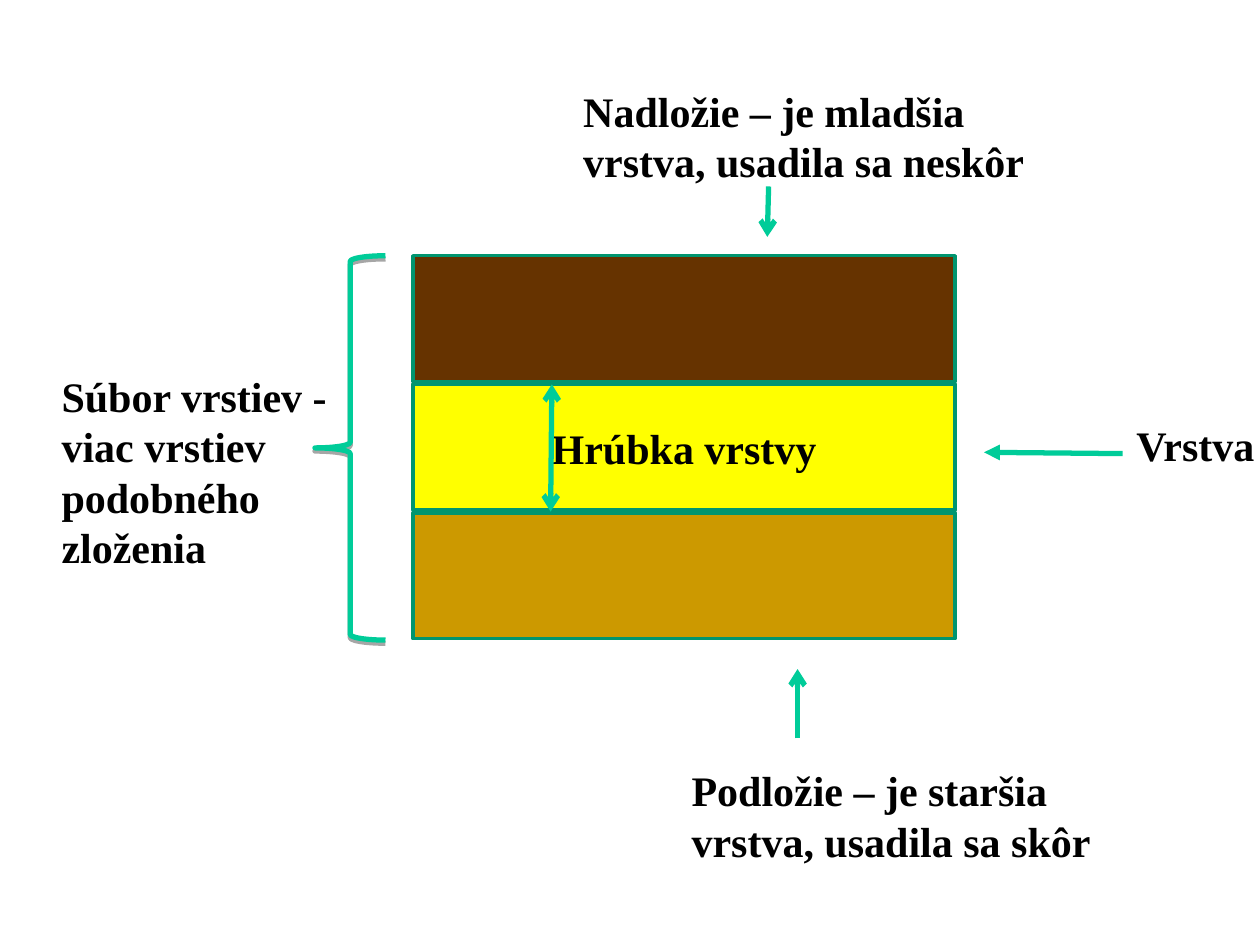
from dataclasses import dataclass
from typing import Optional

import pptx
import pptx.dml.color
import pptx.enum.shapes
import pptx.enum.text
import pptx.oxml
import pptx.oxml.ns
import pptx.util
from pptx.util import Inches

RGBColor = pptx.dml.color.RGBColor
BLACK = RGBColor(0x00, 0x00, 0x00)
BROWN = RGBColor(0x66, 0x33, 0x00)
YELLOW = RGBColor(0xFF, 0xFF, 0x00)
OCHRE = RGBColor(0xCC, 0x99, 0x00)
DARK_GREEN = RGBColor(0x00, 0x95, 0x6F)
GREEN = RGBColor(0x00, 0xCC, 0x99)

FONT_NAME = "Times New Roman"
LAYER_LEFT, LAYER_TOP = 3.28, 2.03
LAYER_WIDTH, LAYER_HEIGHT, LAYER_STEP = 4.3, 1.0, 1.02


@dataclass
class Layer:
    color: RGBColor
    text: str = ""


@dataclass
class Label:
    left: float
    top: float
    width: float
    height: float
    paragraphs: list[str]
    wrap: bool = True


@dataclass
class Arrow:
    start: tuple[float, float]
    end: tuple[float, float]
    tail: str = "arrow"
    head: Optional[str] = None


LAYERS = [Layer(BROWN), Layer(YELLOW, "Hrúbka vrstvy"), Layer(OCHRE)]

LABELS = [
    Label(4.53, 0.63, 3.98, 0.9, ["Nadložie – je mladšia vrstva, usadila sa neskôr"]),
    Label(8.92, 3.28, 1.16, 0.5, ["Vrstva"], wrap=False),
    Label(5.39, 6.02, 3.52, 0.9, ["Podložie – je staršia vrstva, usadila sa skôr"]),
    Label(0.39, 2.89, 2.42, 1.7, ["Súbor vrstiev -", "viac vrstiev podobného zloženia"]),
]

ARROWS = [
    Arrow((8.91, 3.6), (7.81, 3.59), tail="triangle"),
    Arrow((6.1, 1.48), (6.09, 1.88)),
    Arrow((6.33, 5.86), (6.33, 5.31)),
    Arrow((4.38, 3.05), (4.37, 4.06), head="arrow"),
]


def add_element(parent, tag: str, **attributes: str):
    element = pptx.oxml.parse_xml(f"<{tag} {pptx.oxml.ns.nsdecls('a')}/>")
    for name, value in attributes.items():
        element.set(name, value)
    parent.append(element)
    return element


def set_line(shape, color: RGBColor, width: float) -> None:
    shape.line.color.rgb = color
    shape.line.width = pptx.util.Pt(width)


def add_text(paragraph, text: str) -> None:
    run = paragraph.add_run()
    run.text = text
    run.font.name = FONT_NAME
    run.font.size = pptx.util.Pt(24)
    run.font.bold = True
    run.font.color.rgb = BLACK


def draw_layer(slide, layer: Layer, index: int) -> None:
    shape = slide.shapes.add_shape(
        pptx.enum.shapes.MSO_SHAPE.RECTANGLE,
        Inches(LAYER_LEFT), Inches(LAYER_TOP + index * LAYER_STEP),
        Inches(LAYER_WIDTH), Inches(LAYER_HEIGHT))
    shape.shadow.inherit = False
    shape.fill.solid()
    shape.fill.fore_color.rgb = layer.color
    set_line(shape, DARK_GREEN, 2)
    if layer.text:
        shape.text_frame.vertical_anchor = pptx.enum.text.MSO_ANCHOR.MIDDLE
        paragraph = shape.text_frame.paragraphs[0]
        paragraph.alignment = pptx.enum.text.PP_ALIGN.CENTER
        add_text(paragraph, layer.text)


def draw_label(slide, label: Label) -> None:
    text_box = slide.shapes.add_textbox(
        Inches(label.left), Inches(label.top), Inches(label.width), Inches(label.height))
    frame = text_box.text_frame
    frame.word_wrap = label.wrap
    frame.auto_size = pptx.enum.text.MSO_AUTO_SIZE.SHAPE_TO_FIT_TEXT
    for index, text in enumerate(label.paragraphs):
        add_text(frame.add_paragraph() if index else frame.paragraphs[0], text)


def draw_arrow(slide, arrow: Arrow) -> None:
    connector = slide.shapes.add_connector(
        pptx.enum.shapes.MSO_CONNECTOR.STRAIGHT,
        *(Inches(value) for value in arrow.start + arrow.end))
    set_line(connector, GREEN, 3)
    properties = connector.element.spPr
    line = properties.find(pptx.oxml.ns.qn("a:ln"))
    if arrow.head:
        add_element(line, "a:headEnd", type=arrow.head)
    add_element(line, "a:tailEnd", type=arrow.tail)
    add_element(properties, "a:effectLst")


def draw_brace(slide) -> None:
    brace = slide.shapes.add_shape(
        pptx.enum.shapes.MSO_SHAPE.LEFT_BRACE,
        Inches(2.5), Inches(LAYER_TOP), Inches(0.56), Inches(3.05))
    brace.adjustments[0] = 0.08
    brace.fill.background()
    set_line(brace, GREEN, 3)
    # Hard shadow straight below the brace
    brace.shadow.inherit = False
    effects = brace.element.spPr.find(pptx.oxml.ns.qn("a:effectLst"))
    shadow = add_element(effects, "a:outerShdw", blurRad="0",
                         dist=str(pptx.util.Pt(1.8)), dir="5400000", rotWithShape="0")
    shadow_color = add_element(shadow, "a:srgbClr", val=str(BLACK))
    add_element(shadow_color, "a:alpha", val="35000")


def main() -> None:
    presentation = pptx.Presentation()
    presentation.slide_width = Inches(10)
    presentation.slide_height = Inches(7.5)
    slide = presentation.slides.add_slide(presentation.slide_layouts[6])

    # Rock layers, the oldest at the bottom
    for index, layer in reversed(list(enumerate(LAYERS))):
        draw_layer(slide, layer, index)

    # Captions, brace and arrows
    for label in LABELS:
        draw_label(slide, label)
    draw_brace(slide)
    for arrow in ARROWS:
        draw_arrow(slide, arrow)

    presentation.save("out.pptx")


if __name__ == "__main__":
    main()
